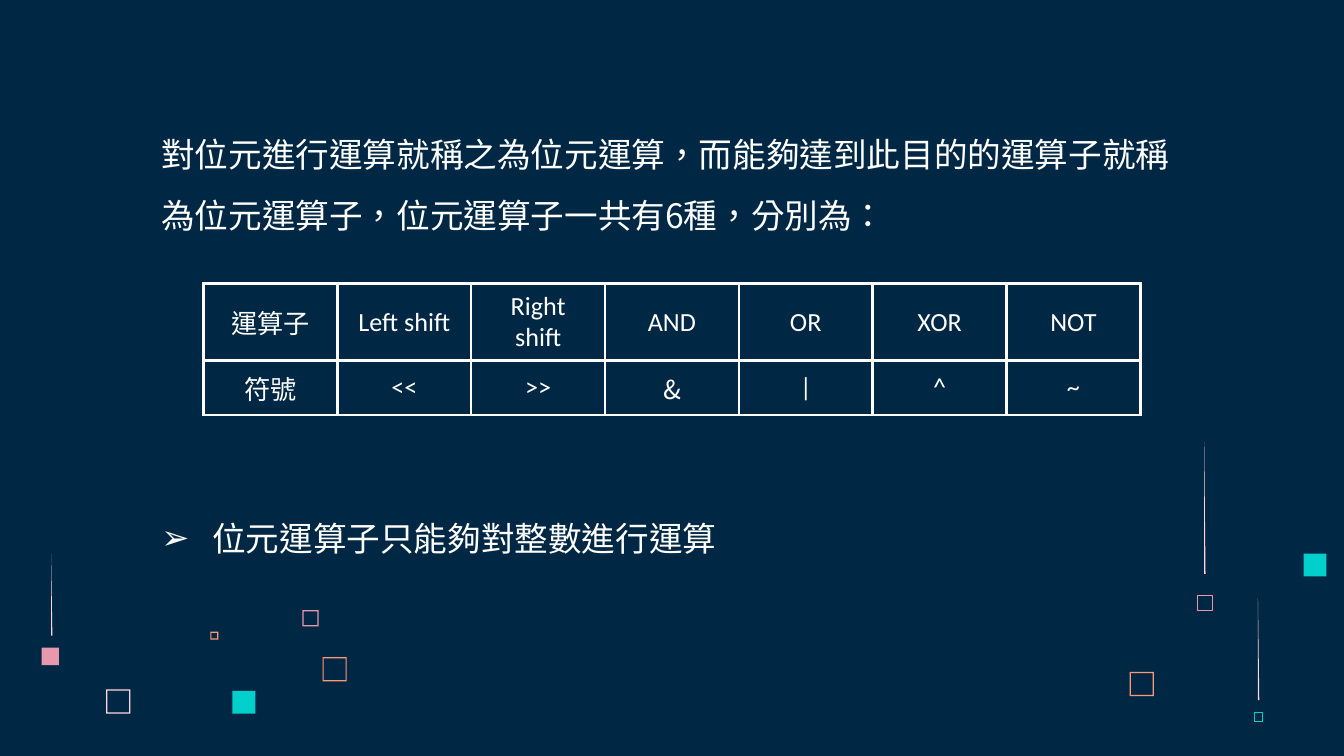
from dataclasses import dataclass

from lxml.etree import SubElement
from pptx import Presentation
from pptx.dml.color import RGBColor
from pptx.enum.shapes import MSO_SHAPE as Preset
from pptx.enum.text import MSO_ANCHOR as Anchor, MSO_AUTO_SIZE as AutoSize, PP_ALIGN as Align
from pptx.oxml.ns import qn
from pptx.util import Inches, Pt


@dataclass(frozen=True)
class Theme:
    navy: str = "002845"
    white: str = "FFFFFF"
    blush: str = "FFD6E1"
    pink: str = "E898AC"
    orange: str = "FF9973"
    teal: str = "00CFCC"
    cjk: str = "Noto Sans CJK SC"
    latin: str = "Calibri"
    language: str = "zh-TW"
    body_size: float = 18
    table_size: float = 14
    border: float = 1.5
    hairline: float = 0.23


THEME = Theme()
WIDTH = Inches(10)
HEIGHT = WIDTH * 9 // 16
COLUMNS = 100  # the page is a grid of square units, 100 across


@dataclass(frozen=True)
class Area:
    left: float
    top: float
    width: float
    height: float


@dataclass(frozen=True)
class Square:
    left: float
    top: float
    side: float
    color: str
    style: str  # "solid", "outline" or "frame"


@dataclass(frozen=True)
class Streak:
    left: float
    top: float
    height: float


SQUARES = [
    Square(7.9, 51.3, 1.8, THEME.blush, "frame"),
    Square(22.5, 45.4, 1.2, THEME.pink, "frame"),
    Square(15.65, 47, 0.6, THEME.orange, "frame"),
    Square(24, 48.9, 1.8, THEME.orange, "frame"),
    Square(84.05, 50, 1.8, THEME.orange, "frame"),
    Square(17.3, 51.4, 1.7, THEME.teal, "solid"),
    Square(3.1, 48.2, 1.3, THEME.pink, "solid"),
    Square(97, 41.2, 1.7, THEME.teal, "solid"),
    Square(89.1, 44.3, 1.1, THEME.pink, "outline"),
    Square(93.3, 53, 0.65, THEME.teal, "outline"),
]
STREAKS = [Streak(89.6, 32.9, 9.8), Streak(3.8, 41.2, 6.1), Streak(93.6, 44.5, 7.6)]

INTRO_AREA = Area(9.8, 7.5, 80.4, 11.2)
NOTE_AREA = Area(9.8, 33.7, 80.4, 11.2)
TABLE_AREA = Area(15.15, 21.1, 69.7, 8.1)
CELL_MARGIN = 1.1
INTRO = "對位元進行運算就稱之為位元運算，而能夠達到此目的的運算子就稱為位元運算子，位元運算子一共有6種，分別為："
NOTE = "位元運算子只能夠對整數進行運算"
OPERATORS = [
    ["運算子", "Left shift", "Right shift", "AND", "OR", "XOR", "NOT"],
    ["符號", "<<", ">>", "&", "|", "^", "~"],
]


def units(count: float) -> int:
    return round(WIDTH * count / COLUMNS)


def place(area: Area) -> list[int]:
    return [units(n) for n in (area.left, area.top, area.width, area.height)]


def rgb(color: str) -> RGBColor:
    return RGBColor.from_string(color)


def paint(shape, color: str) -> None:
    shape.shadow.inherit = False
    shape.fill.solid()
    shape.fill.fore_color.rgb = rgb(color)
    shape.line.fill.background()


def corners(left: float, top: float, side: float) -> list[tuple[int, int]]:
    right, bottom = left + side, top + side
    points = [(left, top), (right, top), (right, bottom), (left, bottom)]
    return [(units(x), units(y)) for x, y in points]


def draw_square(page, square: Square) -> None:
    if square.style == "frame":
        rim = 0.09
        outer = corners(square.left, square.top, square.side)
        inner = corners(square.left + rim, square.top + rim, square.side - 2 * rim)[::-1]
        builder = page.shapes.build_freeform(*outer[0])
        builder.add_line_segments(outer[1:], close=True)
        builder.move_to(*inner[0])
        builder.add_line_segments(inner[1:], close=True)
        paint(builder.convert_to_shape(), square.color)
        return
    area = Area(square.left, square.top, square.side, square.side)
    shape = page.shapes.add_shape(Preset.RECTANGLE, *place(area))
    paint(shape, square.color)
    if square.style == "outline":
        shape.fill.background()
        shape.line.color.rgb = rgb(square.color)
        shape.line.width = Pt(THEME.hairline)


def draw_streak(page, streak: Streak) -> None:
    left, top, bottom = units(streak.left), units(streak.top), units(streak.top + streak.height)
    builder = page.shapes.build_freeform(left, top)
    builder.add_line_segments([(left, bottom), (left + units(0.1), bottom)], close=True)
    paint(builder.convert_to_shape(), THEME.blush)


def add_span(para, text: str, size: float, font: str) -> None:
    span = para.add_run()
    span.text = text
    span.font.size = Pt(size)
    span.font.color.rgb = rgb(THEME.white)
    span.font.name = font
    props = span.font._element
    props.set("lang", THEME.language)
    SubElement(props, qn("a:ea"), typeface=THEME.cjk)


def fill_body(box, area: Area, text: str, anchor: Anchor, margin: float, indent: float, bullet: str = "") -> None:
    box.left, box.top, box.width, box.height = place(area)
    frame = box.text_frame
    frame.word_wrap = True
    frame.auto_size = AutoSize.NONE
    frame.vertical_anchor = anchor
    frame.margin_left = frame.margin_right = frame.margin_top = frame.margin_bottom = units(1)
    para = frame.paragraphs[0]
    para.alignment = Align.LEFT
    para.line_spacing = 1.5
    para.space_before = para.space_after = Pt(0)
    props = para._p.get_or_add_pPr()
    props.set("marL", str(units(margin)))
    props.set("indent", str(units(indent)))
    if bullet:
        tint = SubElement(props, qn("a:buClr"))
        SubElement(tint, qn("a:srgbClr"), val=THEME.white)
        SubElement(props, qn("a:buChar"), char=bullet)
    else:
        SubElement(props, qn("a:buNone"))
    add_span(para, text, THEME.body_size, THEME.cjk)


def border_cell(cell) -> None:
    props = cell._tc.get_or_add_tcPr()
    for side in ("lnL", "lnR", "lnT", "lnB"):
        edge = SubElement(props, qn(f"a:{side}"), w=str(Pt(THEME.border)))
        SubElement(SubElement(edge, qn("a:solidFill")), qn("a:srgbClr"), val=THEME.white)


def draw_table(page, area: Area, rows: list[list[str]]) -> None:
    table = page.shapes.add_table(len(rows), len(rows[0]), *place(area)).table
    table.first_row = table.horz_banding = False
    for r, row in enumerate(rows):
        for c, text in enumerate(row):
            cell = table.cell(r, c)
            border_cell(cell)
            cell.fill.background()
            cell.vertical_anchor = Anchor.MIDDLE
            cell.margin_left = cell.margin_right = units(CELL_MARGIN)
            para = cell.text_frame.paragraphs[0]
            para.alignment = Align.CENTER
            add_span(para, text, THEME.table_size, THEME.cjk if text == "&" else THEME.latin)


def main() -> None:
    deck = Presentation()
    deck.slide_width, deck.slide_height = WIDTH, HEIGHT
    page = deck.slides.add_slide(deck.slide_layouts.get_by_name("Two Content"))
    page.background.fill.solid()
    page.background.fill.fore_color.rgb = rgb(THEME.navy)

    # Text: this page has no title, only two bodies
    title, intro, note = page.placeholders
    title.element.getparent().remove(title.element)
    fill_body(intro, INTRO_AREA, INTRO, Anchor.TOP, margin=1.2, indent=0)
    fill_body(note, NOTE_AREA, NOTE, Anchor.MIDDLE, margin=5, indent=-3.8, bullet="➢")

    # Operators and their symbols
    draw_table(page, TABLE_AREA, OPERATORS)

    # Decoration
    for square in SQUARES:
        draw_square(page, square)
    for streak in STREAKS:
        draw_streak(page, streak)

    deck.save("out.pptx")


if __name__ == "__main__":
    main()
